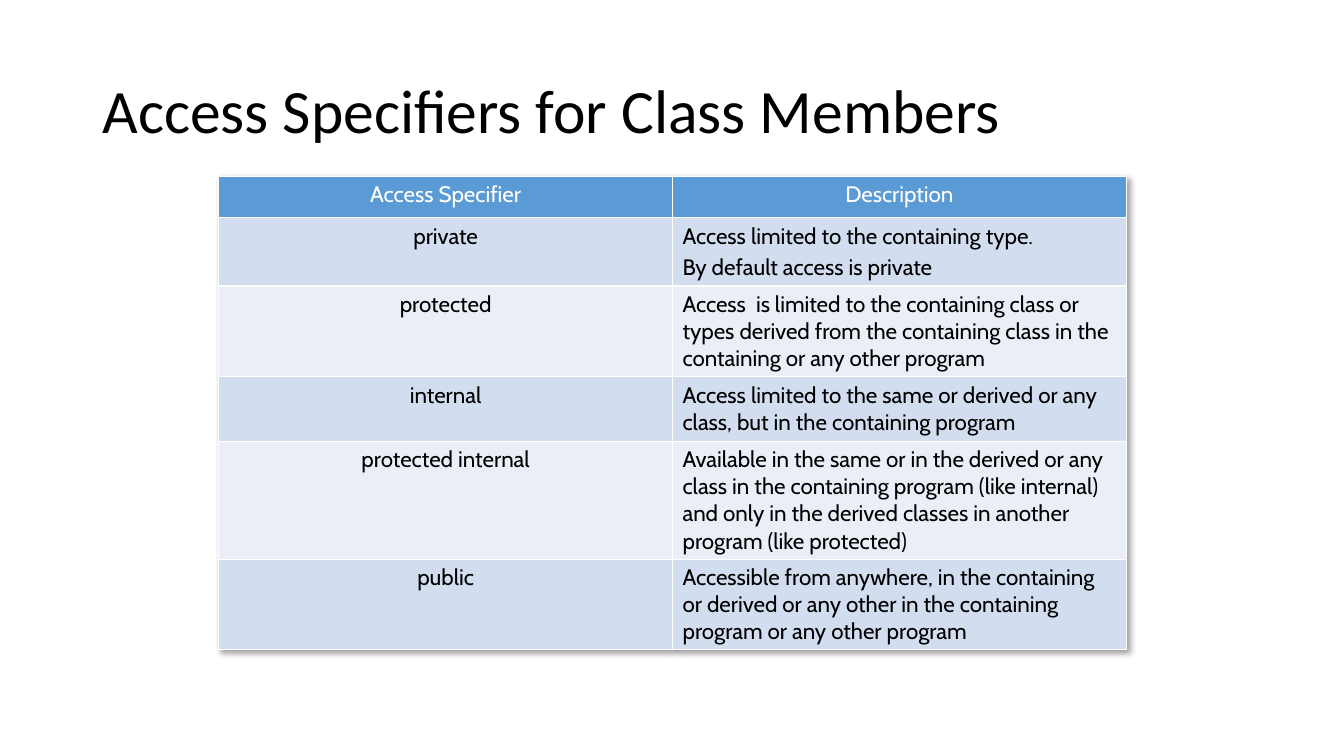
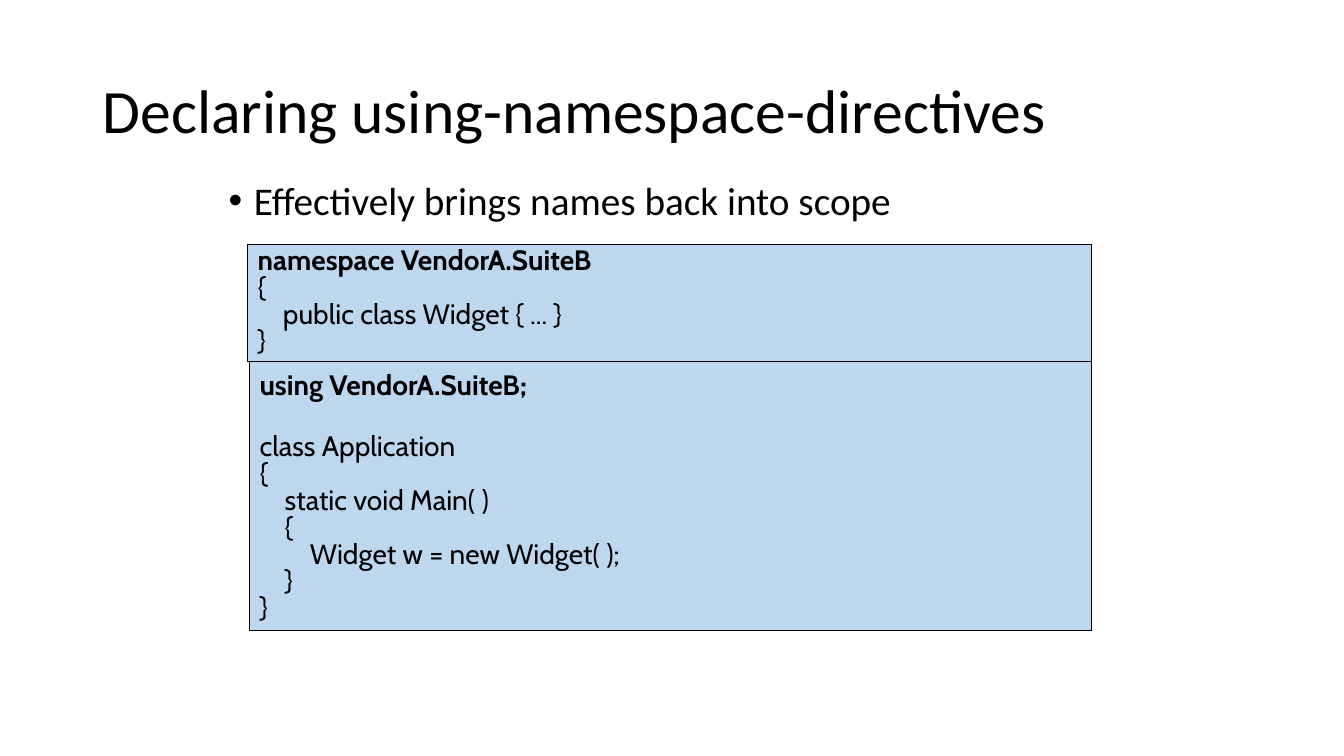
from dataclasses import dataclass

from lxml import etree
from pptx import Presentation
from pptx import util as u
from pptx.dml.color import RGBColor
from pptx.enum import shapes, text
from pptx.oxml import ns

WIDTH, HEIGHT = 13.33, 7.5
BLACK, WHITE = "000000", "FFFFFF"
HEADER, BANDS = "5B9BD5", ("D2DEEF", "EAEFF7")
CODE_FILL = "BDD7EE"
HEADING_FONT, BODY_FONT = "Calibri", "Cabin"
INDENT = 0.25


@dataclass
class Box:
    left: float
    top: float
    width: float
    height: float

    def inside(self, left, top, width, height):
        return Box(self.left + left * self.width, self.top + top * self.height,
                   width * self.width, height * self.height)

    def lengths(self):
        return [u.Inches(v) for v in (self.left, self.top, self.width, self.height)]


SLIDE = Box(0, 0, WIDTH, HEIGHT)
TITLE = Box(0.92, 0.4, 11.5, 1.45)
BODY = Box(2.17, 1.75, 9, 4.5)


def rgb(value):
    return RGBColor.from_string(value)


def style(paragraph, size, font, color=BLACK, bold=False):
    for run in paragraph.runs:
        run.font.size = u.Pt(size)
        run.font.name = font
        run.font.bold = bold
        run.font.color.rgb = rgb(color)


def add_line(slide, box, words, size):
    frame = slide.shapes.add_textbox(*box.lengths()).text_frame
    frame.word_wrap = True
    frame.text = words
    line = frame.paragraphs[0]
    line.line_spacing = 0.9
    style(line, size, HEADING_FONT)
    return frame


def add_titled_slide(deck, title):
    slide = deck.slides.add_slide(deck.slide_layouts[6])
    frame = add_line(slide, TITLE, title, 44)
    frame.vertical_anchor = text.MSO_ANCHOR.MIDDLE
    return slide


def add_bullet(slide, box, words):
    bullet = add_line(slide, box, words, 28).paragraphs[0]
    bullet.space_before = u.Pt(10)
    props = bullet._p.get_or_add_pPr()
    props.set("marL", str(u.Inches(INDENT)))
    props.set("indent", str(-u.Inches(INDENT)))
    etree.SubElement(props, ns.qn("a:buFont")).set("typeface", "Arial")
    etree.SubElement(props, ns.qn("a:buChar")).set("char", "•")


def add_table_shadow(table):
    effects = etree.Element(ns.qn("a:effectLst"))
    shadow = etree.SubElement(effects, ns.qn("a:outerShdw"), blurRad="50800",
                              dist="38100", dir="2700000", algn="tl", rotWithShape="0")
    black = etree.SubElement(shadow, ns.qn("a:srgbClr"), val=BLACK)
    etree.SubElement(black, ns.qn("a:alpha"), val="40000")
    table._tbl.tblPr.insert(0, effects)


def add_specifier_table(slide, box, rows, heights):
    table = slide.shapes.add_table(len(rows), len(rows[0]), *box.lengths()).table
    add_table_shadow(table)
    for r, (row, height) in enumerate(zip(rows, heights)):
        table.rows[r].height = u.Inches(height)
        for c, words in enumerate(row):
            cell = table.cell(r, c)
            cell.fill.solid()
            cell.fill.fore_color.rgb = rgb(BANDS[(r - 1) % 2] if r else HEADER)
            cell.text_frame.text = words
            paragraphs = cell.text_frame.paragraphs
            for paragraph in paragraphs:
                style(paragraph, 16, BODY_FONT, BLACK if r else WHITE)
                if r == 0 or c == 0:
                    paragraph.alignment = text.PP_ALIGN.CENTER
                if len(paragraphs) > 1:
                    paragraph.space_before = u.Pt(3.2)


def add_code(slide, box, lines, first_spacing=0.8, first_gap=0):
    panel = slide.shapes.add_shape(shapes.MSO_SHAPE.RECTANGLE, *box.lengths())
    panel.shadow.inherit = False
    panel.fill.solid()
    panel.fill.fore_color.rgb = rgb(CODE_FILL)
    panel.line.color.rgb = rgb(BLACK)
    panel.line.width = u.Pt(0.5)
    frame = panel.text_frame
    frame.word_wrap = True
    frame.vertical_anchor = text.MSO_ANCHOR.MIDDLE
    frame.text = "\n".join(words for _, words in lines)
    for i, (paragraph, (depth, _)) in enumerate(zip(frame.paragraphs, lines)):
        paragraph.alignment = text.PP_ALIGN.LEFT
        paragraph.line_spacing = 0.8 if i else first_spacing
        paragraph.space_after = u.Pt(0 if i else first_gap)
        paragraph._p.get_or_add_pPr().set("marL", str(u.Inches(depth * INDENT)))
        style(paragraph, 20, BODY_FONT, bold=i == 0)


SPECIFIERS = [
    ("Access Specifier", "Description"),
    ("private", "Access limited to the containing type.\nBy default access is private"),
    ("protected", "Access  is limited to the containing class or types derived from "
                  "the containing class in the containing or any other program"),
    ("internal", "Access limited to the same or derived or any class, "
                 "but in the containing program"),
    ("protected internal", "Available in the same or in the derived or any class in the "
                           "containing program (like internal) and only in the derived "
                           "classes in another program (like protected)"),
    ("public", "Accessible from anywhere, in the containing or derived or any other "
               "in the containing program or any other program"),
]
ROW_HEIGHTS = [0.41, 0.67, 0.9, 0.64, 1.17, 0.9]

NAMESPACE = [
    (0, "namespace VendorA.SuiteB"),
    (0, "{"),
    (1, "public class Widget { ... }"),
    (0, "}"),
]
USAGE = [
    (0, "using VendorA.SuiteB;"),
    (0, "class Application"),
    (0, "{"),
    (1, "static void Main( )"),
    (1, "{"),
    (2, "Widget w = new Widget( );"),
    (1, "}"),
    (0, "}"),
]

deck = Presentation()
deck.slide_width, deck.slide_height = SLIDE.lengths()[2:]

access = add_titled_slide(deck, "Access Specifiers for Class Members")
add_specifier_table(access, BODY, SPECIFIERS, ROW_HEIGHTS)

directives = add_titled_slide(deck, "Declaring using-namespace-directives")
add_bullet(directives, BODY.inside(0, 0, 1, 0.15),
           "Effectively brings names back into scope")
add_code(directives, BODY.inside(0.034, 0.407, 0.928, 0.593), USAGE,
         first_spacing=1, first_gap=24)
add_code(directives, BODY.inside(0.032, 0.149, 0.93, 0.258), NAMESPACE)

deck.save("out.pptx")
